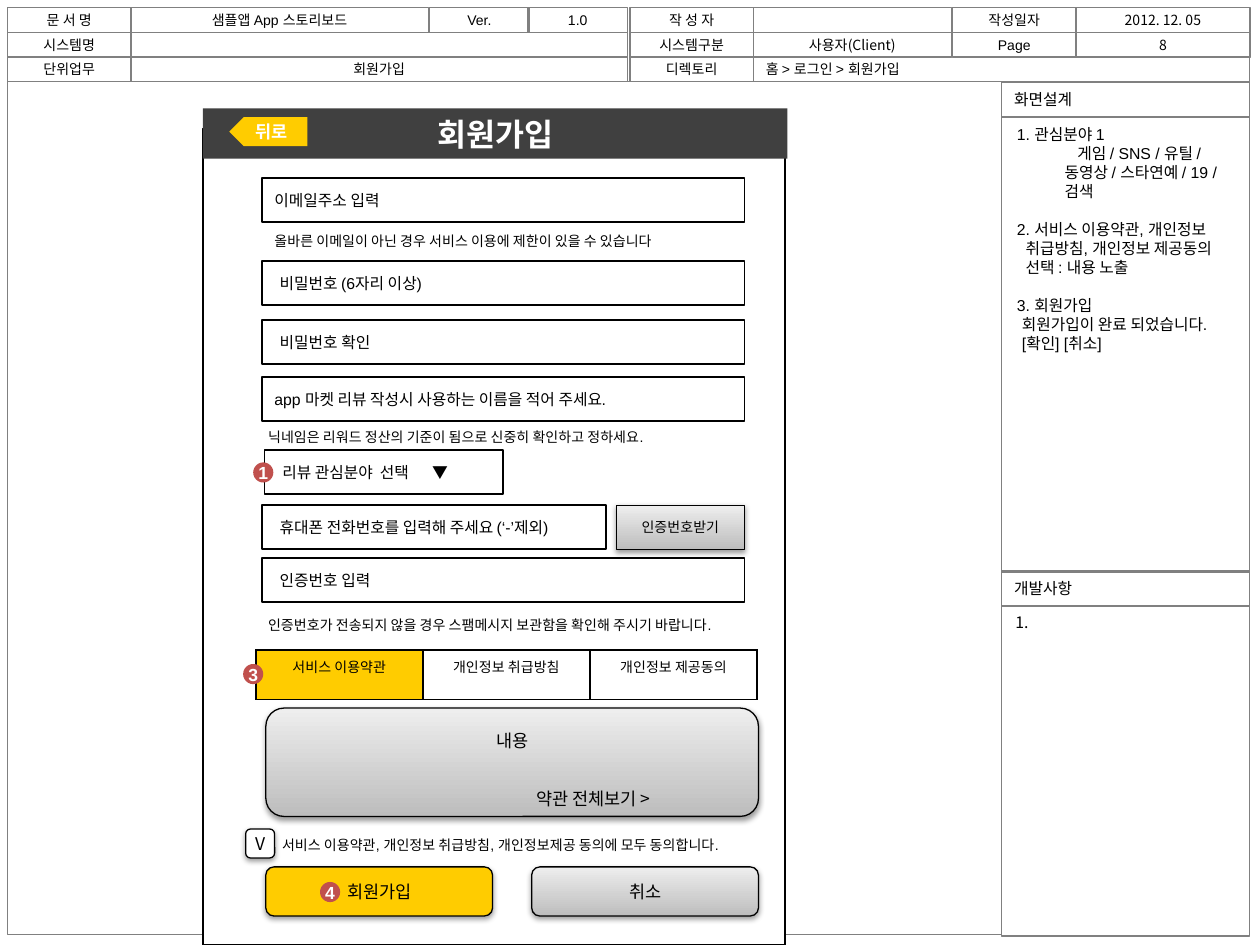
from lxml import etree
from pptx import Presentation
from pptx.dml.color import RGBColor
from pptx.enum.shapes import MSO_SHAPE
from pptx.enum.text import MSO_ANCHOR, MSO_AUTO_SIZE, PP_ALIGN
from pptx.oxml import parse_xml
from pptx.oxml.ns import nsdecls, qn
from pptx.util import Inches, Pt

RECT, ROUND, OVAL = MSO_SHAPE.RECTANGLE, MSO_SHAPE.ROUNDED_RECTANGLE, MSO_SHAPE.OVAL
ARROW = MSO_SHAPE.PENTAGON
LEFT, CENTER = PP_ALIGN.LEFT, PP_ALIGN.CENTER
TOP, MIDDLE = MSO_ANCHOR.TOP, MSO_ANCHOR.MIDDLE
ARIAL, NOTO = "Arial", "Noto Sans CJK KR"
COLORS = {
    "black": "000000", "white": "FFFFFF", "grid": "808080", "bar": "404040",
    "yellow": "FFCC00", "badge": "C0504D", "dark": "BDBDBD", "light": "EEEEEE",
}
RGB = {name: RGBColor.from_string(value) for name, value in COLORS.items()}

presentation = Presentation()
presentation.slide_width, presentation.slide_height = Inches(10), Inches(7.5)
slide = presentation.slides.add_slide(presentation.slide_layouts[1])
shapes = slide.shapes


def add_box(kind, place, fill=None, line=None, width=1, shadow=False):
    """Add a preset shape; the fill "gradient" runs from light down to dark."""
    shape = shapes.add_shape(kind, *map(Inches, place))
    shape.shadow.inherit = False
    if fill == "gradient":
        shape.fill.gradient()
        shape.fill.gradient_angle = 90
        for stop, name in zip(shape.fill.gradient_stops, ("dark", "light")):
            stop.color.rgb = RGB[name]
    elif fill:
        shape.fill.solid()
        shape.fill.fore_color.rgb = RGB[fill]
    else:
        shape.fill.background()
    if line:
        shape.line.color.rgb = RGB[line]
        shape.line.width = Pt(width)
    else:
        shape.line.fill.background()
    if shadow:
        effects = shape.element.spPr.find(qn("a:effectLst"))
        effects.append(parse_xml(
            f'<a:outerShdw {nsdecls("a")} blurRad="40000" dist="20000" dir="5400000" rotWithShape="0">'
            '<a:srgbClr val="000000"><a:alpha val="38000"/></a:srgbClr></a:outerShdw>'))
    return shape


def write(shape, text, size, font=ARIAL, color="black", align=LEFT, anchor=MIDDLE,
          bold=False, margin=0.1):
    """Fill a shape with text, one paragraph a line."""
    frame = shape.text_frame
    frame.text = text
    frame.word_wrap = True
    frame.vertical_anchor = anchor
    frame.margin_left, frame.margin_right = Inches(margin), Inches(min(margin, 0.1))
    for paragraph in frame.paragraphs:
        paragraph.alignment = align
        paragraph.font.size = Pt(size)
        paragraph.font.name = font
        paragraph.font.bold = bold
        paragraph.font.color.rgb = RGB[color]


# Document header: text, left, width, font, alignment
header_rows = [
    (0.06, [("문 서 명", 0.06, 0.98, ARIAL, CENTER),
            ("샘플앱 App 스토리보드", 1.04, 2.36, ARIAL, CENTER),
            ("Ver.", 3.41, 0.79, ARIAL, CENTER), ("1.0", 4.19, 0.79, ARIAL, CENTER),
            ("작 성 자", 5, 0.98, ARIAL, CENTER), ("", 5.98, 1.57, ARIAL, CENTER),
            ("작성일자", 7.56, 0.98, ARIAL, CENTER),
            ("2012. 12. 05", 8.54, 1.38, NOTO, CENTER)]),
    (0.26, [("시스템명", 0.06, 0.98, ARIAL, CENTER), ("", 1.04, 3.94, ARIAL, CENTER),
            ("시스템구분", 5, 0.98, ARIAL, CENTER),
            ("사용자(Client)", 5.98, 1.57, NOTO, CENTER),
            ("Page", 7.56, 0.98, ARIAL, CENTER), ("8", 8.54, 1.38, NOTO, CENTER)]),
    (0.45, [("단위업무", 0.06, 0.98, ARIAL, CENTER), ("회원가입", 1.04, 3.94, ARIAL, CENTER),
            ("디렉토리", 5, 0.98, ARIAL, CENTER),
            ("홈 > 로그인 > 회원가입", 5.98, 3.94, ARIAL, LEFT)]),
]
for top, cells in header_rows:
    for text, left, width, font, align in cells:
        cell = add_box(RECT, (left, top, width, 0.2), line="grid", width=0.75)
        if text:
            write(cell, text, 8, font, align=align)

# Drawing area and side panels
add_box(RECT, (0.06, 0.65, 7.89, 6.77), line="grid", width=0.75)
for heading, top, height in [("화면설계", 0.65, 3.61), ("개발사항", 4.53, 2.62)]:
    write(add_box(RECT, (7.95, top, 1.97, 0.28), line="grid", width=0.75), heading, 9)
    add_box(RECT, (7.95, top + 0.28, 1.97, height), line="grid", width=0.75)
development = shapes.add_textbox(Inches(7.96), Inches(4.81), Inches(2.03), Inches(0.25))
write(development, "1.", 9, NOTO, anchor=TOP)

# Screen description: text, left indent, first-line indent, space before
notes = [
    ("1. 관심분야 1", 0.38, -0.38, 0),
    ("게임 / SNS / 유틸 / 동영상 / 스타연예 / 19 / 검색", 0.38, 0.1, 0),
    ("2. 서비스 이용약관, 개인정보", 0.38, -0.38, 11),
    ("취급방침, 개인정보 제공동의", 0.07, 0, 0),
    ("선택 : 내용 노출", 0.07, 0, 0),
    ("3. 회원가입", 0.38, -0.38, 11),
    ("회원가입이 완료 되었습니다.", 0.04, 0, 0),
    ("[확인] [취소]", 0.04, 0, 0),
]
body = slide.placeholders[1]
body.left, body.top, body.width, body.height = map(Inches, (7.97, 0.94, 2.03, 1.77))
write(body, "\n".join(note[0] for note in notes), 9, anchor=TOP)
body.text_frame.auto_size = MSO_AUTO_SIZE.NONE
for paragraph, (_, left, indent, before) in zip(body.text_frame.paragraphs, notes):
    paragraph.space_before, paragraph.line_spacing = Pt(before), 1.0
    properties = paragraph._p.get_or_add_pPr()
    properties.set("marL", str(Inches(left)))
    properties.set("indent", str(Inches(indent)))
    properties.find(qn("a:defRPr")).addprevious(etree.Element(qn("a:buNone")))

# Phone screen with its title bar and back button
phone = add_box(RECT, (1.61, 1.02, 4.62, 6.48), "white", "black")
title = shapes.title
title.left, title.top, title.width, title.height = map(Inches, (1.61, 0.86, 4.64, 0.4))
title.fill.solid()
title.fill.fore_color.rgb = RGB["bar"]
write(title, "회원가입", 18, color="white", align=CENTER, bold=True)
title.text_frame.auto_size = MSO_AUTO_SIZE.NONE
phone.element.addnext(title.element)
add_box(ARROW, (1.82, 0.93, 0.62, 0.23), "yellow").rotation = 180
back_label = shapes.add_textbox(Inches(1.93), Inches(0.91), Inches(0.86), Inches(0.27))
write(back_label, "뒤로", 10, color="white", anchor=TOP, bold=True)

# Input fields: text, left, top, width, left margin
fields = [
    ("이메일주소 입력", 2.08, 1.41, 3.83, 0.1),
    ("비밀번호 (6자리 이상)", 2.08, 2.07, 3.83, 0.14),
    ("비밀번호 확인", 2.08, 2.54, 3.83, 0.14),
    ("app 마켓 리뷰 작성시 사용하는 이름을 적어 주세요.", 2.08, 2.99, 3.83, 0.1),
    ("리뷰 관심분야  선택\t▼", 2.1, 3.57, 1.89, 0.14),
    ("휴대폰 전화번호를 입력해 주세요 (‘-’제외)", 2.08, 4.01, 2.73, 0.14),
    ("인증번호 입력", 2.08, 4.43, 3.83, 0.14),
]
for text, left, top, width, margin in fields:
    field = add_box(RECT, (left, top, width, 0.35), "white", "black")
    write(field, text, 9, margin=margin)
    if "\t" in text:
        properties = field.text_frame.paragraphs[0]._p.get_or_add_pPr()
        properties.find(qn("a:defRPr")).addprevious(parse_xml(
            f'<a:tabLst {nsdecls("a")}><a:tab pos="{Inches(1.19)}" algn="l"/></a:tabLst>'))

# Hints
hints = [
    ("올바른 이메일이 아닌 경우 서비스 이용에 제한이 있을 수 있습니다", 2.08, 1.8, 3.75),
    ("닉네임은 리워드 정산의 기준이 됨으로 신중히 확인하고 정하세요.", 2.03, 3.35, 5.78),
    ("인증번호가 전송되지 않을 경우 스팸메시지 보관함을 확인해 주시기 바랍니다.", 2.03, 4.84, 4.3),
    ("서비스 이용약관, 개인정보 취급방침, 개인정보제공 동의에 모두 동의합니다.", 2.14, 6.59, 4.19),
]
for text, left, top, width in hints:
    hint = shapes.add_textbox(Inches(left), Inches(top), Inches(width), Inches(0.24))
    write(hint, text, 8, anchor=TOP)

# Terms tabs
tabs = ["서비스 이용약관", "개인정보 취급방침", "개인정보 제공동의"]
table = shapes.add_table(1, 3, Inches(2.03), Inches(5.16), Inches(3.98), Inches(0.39)).table
for index, text in enumerate(tabs):
    cell = table.cell(0, index)
    write(cell, text, 8, NOTO, align=CENTER)
    cell.fill.solid()
    cell.fill.fore_color.rgb = RGB["white" if index else "yellow"]
    properties = cell._tc.get_or_add_tcPr()
    for position, side in enumerate(("lnL", "lnR", "lnT", "lnB")):
        properties.insert(position, parse_xml(
            f'<a:{side} {nsdecls("a")} w="12700"><a:solidFill>'
            f'<a:srgbClr val="{COLORS["black"]}"/></a:solidFill></a:{side}>'))

# Terms content
terms = add_box(ROUND, (2.11, 5.62, 3.91, 0.86), "gradient", "black", 0.75, shadow=True)
write(terms, "내용\n약관 전체보기 >", 10, NOTO, align=CENTER, anchor=TOP)
terms.text_frame.margin_top, terms.text_frame.margin_bottom = Inches(0.13), 0
view_all = terms.text_frame.paragraphs[1]
view_all.alignment, view_all.space_before = LEFT, Pt(21)
view_all._p.get_or_add_pPr().set("marL", str(Inches(2.01)))

# Buttons and consent check box
buttons = [
    (RECT, "인증번호받기", (4.89, 4.01, 1.02, 0.35), "gradient", 8, ARIAL, 0.1),
    (ROUND, "V", (1.95, 6.58, 0.23, 0.23), "white", 10, NOTO, 0),
    (ROUND, "회원가입", (2.11, 6.88, 1.8, 0.39), "yellow", 10, NOTO, 0.1),
    (ROUND, "취소", (4.22, 6.88, 1.8, 0.39), "gradient", 10, NOTO, 0.1),
]
for kind, text, place, fill, size, font, margin in buttons:
    button = add_box(kind, place, fill, "black", 0.75, shadow=True)
    write(button, text, size, font, align=CENTER, margin=margin)

# Numbered badges
for number, left, top in [("1", 2.01, 3.67), ("3", 1.93, 5.27), ("4", 2.54, 7)]:
    badge = add_box(OVAL, (left, top, 0.16, 0.16), "badge")
    write(badge, number, 10, color="white", align=CENTER, bold=True, margin=0)
    badge.text_frame.margin_top = badge.text_frame.margin_bottom = 0
    badge.text_frame.word_wrap = False

presentation.save("out.pptx")
